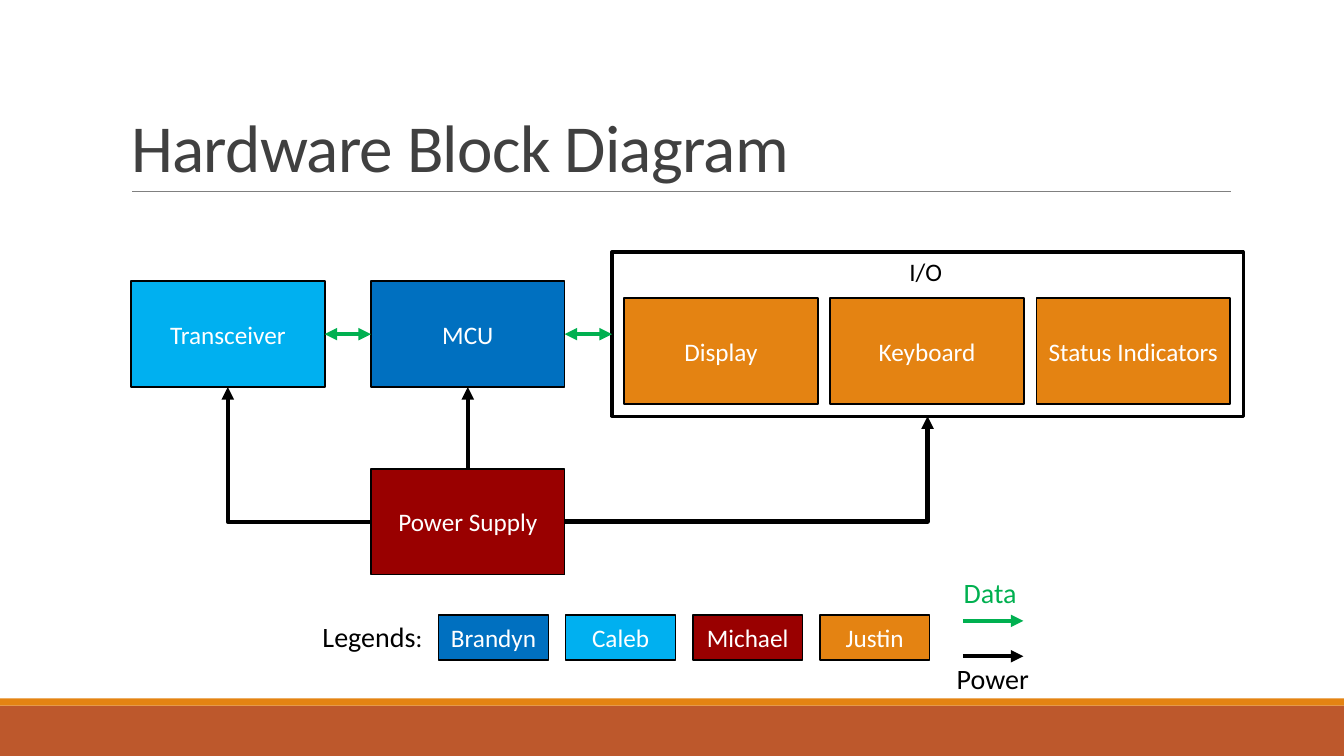
from dataclasses import dataclass

from lxml import etree
from pptx import Presentation
from pptx import util as u
from pptx.dml.color import RGBColor
from pptx.enum import shapes, text
from pptx.oxml import ns

Inches, Pt = u.Inches, u.Pt


@dataclass(frozen=True)
class Theme:
    font: str = "Calibri"
    black: str = "000000"
    white: str = "FFFFFF"
    title: str = "404040"
    rule: str = "808080"
    band: str = "BD582C"
    orange: str = "E48312"
    red: str = "990000"
    sky: str = "00B0F0"
    blue: str = "0070C0"
    data: str = "00B050"
    title_size: int = 48
    legend_size: int = 20
    body_size: int = 18


T = Theme()
TOP, LEFT, BOTTOM, RIGHT = range(4)  # connection sites of a rectangle
BLOCK_W, BLOCK_H = 1.92, 1.05


def add_text(p, words, size=T.body_size, color=T.black, align=None, spacing=None):
    """Append one formatted run to a paragraph."""
    if align is not None:
        p.alignment = align
    r = p.add_run()
    r.text = words
    r.font.name, r.font.size = T.font, Pt(size)
    r.font.color.rgb = RGBColor.from_string(color)
    if spacing is not None:
        r.font._element.set("spc", str(round(spacing * 100)))
    return r


def add_box(s, x, y, w, h, fill=None, line=None, line_width=1.25, label="",
            kind=shapes.MSO_SHAPE.RECTANGLE):
    sp = s.shapes.add_shape(kind, Inches(x), Inches(y), Inches(w), Inches(h))
    sp.shadow.inherit = False
    if fill:
        sp.fill.solid()
        sp.fill.fore_color.rgb = RGBColor.from_string(fill)
    else:
        sp.fill.background()
    if line:
        sp.line.color.rgb = RGBColor.from_string(line)
        sp.line.width = Pt(line_width)
    else:
        sp.line.fill.background()
    if label:
        tf = sp.text_frame
        tf.word_wrap = True
        tf.vertical_anchor = text.MSO_ANCHOR.MIDDLE
        add_text(tf.paragraphs[0], label, color=T.white, align=text.PP_ALIGN.CENTER)
    return sp


def add_block(s, x, y, fill, label):
    return add_box(s, x, y, BLOCK_W, BLOCK_H, fill, T.black, label=label,
                   kind=shapes.MSO_SHAPE.FLOWCHART_PROCESS)


def add_label(s, x, y, w, h, words, **fmt):
    tf = s.shapes.add_textbox(Inches(x), Inches(y), Inches(w), Inches(h)).text_frame
    tf.word_wrap = True
    add_text(tf.paragraphs[0], words, **fmt)
    return tf.paragraphs[0]


def add_line(s, start=(0, 0), end=(0, 0), color=T.black, width=3, heads=("tailEnd",),
             bent=False):
    kind = shapes.MSO_CONNECTOR.ELBOW if bent else shapes.MSO_CONNECTOR.STRAIGHT
    c = s.shapes.add_connector(kind, *(Inches(v) for v in (*start, *end)))
    c.line.color.rgb = RGBColor.from_string(color)
    c.line.width = Pt(width)
    sp_pr = c._element.spPr
    if bent:  # a single corner
        sp_pr.find(ns.qn("a:prstGeom")).set("prst", "bentConnector2")
    for head in heads:
        etree.SubElement(sp_pr.find(ns.qn("a:ln")), ns.qn(f"a:{head}"), type="triangle")
    etree.SubElement(sp_pr, ns.qn("a:effectLst"))
    return c


def link(s, source, source_site, target, target_site, **fmt):
    c = add_line(s, **fmt)
    c.begin_connect(source, source_site)
    c.end_connect(target, target_site)


def add_frame(s):
    """Footer bands, title and the rule below it."""
    add_box(s, 0, 7, 13.33, 0.5, T.band)
    add_box(s, 0, 6.93, 13.33, 0.07, T.orange)
    add_line(s, (1.31, 1.9), (12.21, 1.9), T.rule, 0.5, heads=())
    title = s.shapes.title
    title.left, title.top = Inches(1.2), Inches(0.31)
    title.width, title.height = Inches(11), Inches(1.59)
    tf = title.text_frame
    tf.auto_size = text.MSO_AUTO_SIZE.NONE
    tf.vertical_anchor = text.MSO_ANCHOR.BOTTOM
    p = tf.paragraphs[0]
    p.line_spacing = 0.85
    add_text(p, "Hardware Block Diagram", size=T.title_size, color=T.title,
             align=text.PP_ALIGN.LEFT, spacing=-0.5)


def add_diagram(s):
    # Blocks
    power = add_block(s, 3.68, 4.65, T.red, "Power Supply")
    transceiver = add_block(s, 1.3, 2.79, T.sky, "Transceiver")
    mcu = add_block(s, 3.68, 2.79, T.blue, "MCU")
    for i, name in enumerate(("Display", "Keyboard", "Status Indicators")):
        add_block(s, 6.19 + 2.045 * i, 2.96, T.orange, name)
    io_group = add_box(s, 6.07, 2.5, 6.26, 1.63, line=T.black, line_width=2.25)
    add_label(s, 8.92, 2.49, 0.6, 0.4, "I/O")

    # Power lines
    link(s, power, TOP, mcu, BOTTOM)
    link(s, power, LEFT, transceiver, BOTTOM, bent=True)
    link(s, power, RIGHT, io_group, BOTTOM, bent=True)

    # Data lines
    for source, target in ((transceiver, mcu), (mcu, io_group)):
        link(s, source, RIGHT, target, LEFT, color=T.data, heads=("headEnd", "tailEnd"))


def add_legend(s):
    p = add_label(s, 3.1, 6.1, 1.25, 0.44, "Legends", size=T.legend_size)
    add_text(p, ":")
    people = (("Brandyn", T.blue), ("Caleb", T.sky), ("Michael", T.red), ("Justin", T.orange))
    for i, (name, color) in enumerate(people):
        add_box(s, 4.35 + 1.26 * i, 6.1, 1.09, 0.45, color, T.black, label=name)
    for name, color, line_y, x, y, w in (("Data", T.data, 6.16, 9.46, 5.66, 0.8),
                                         ("Power", T.black, 6.51, 9.39, 6.51, 1)):
        add_line(s, (9.55, line_y), (10.15, line_y), color)
        add_label(s, x, y, w, 0.44, name, size=T.legend_size, color=color)


def main():
    prs = Presentation()
    prs.slide_width, prs.slide_height = Inches(13.33), Inches(7.5)
    s = prs.slides.add_slide(prs.slide_layouts[5])  # title only
    add_frame(s)
    add_diagram(s)
    add_legend(s)
    prs.save("out.pptx")


if __name__ == "__main__":
    main()
